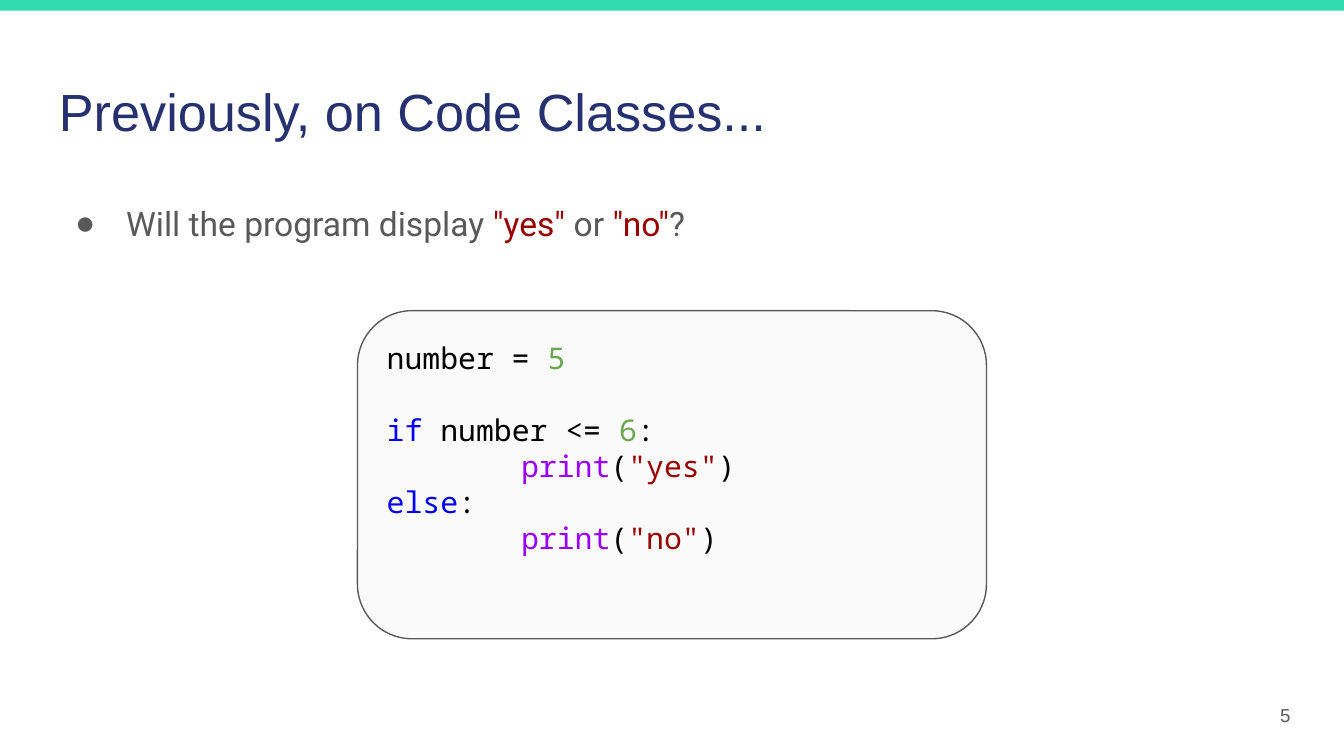
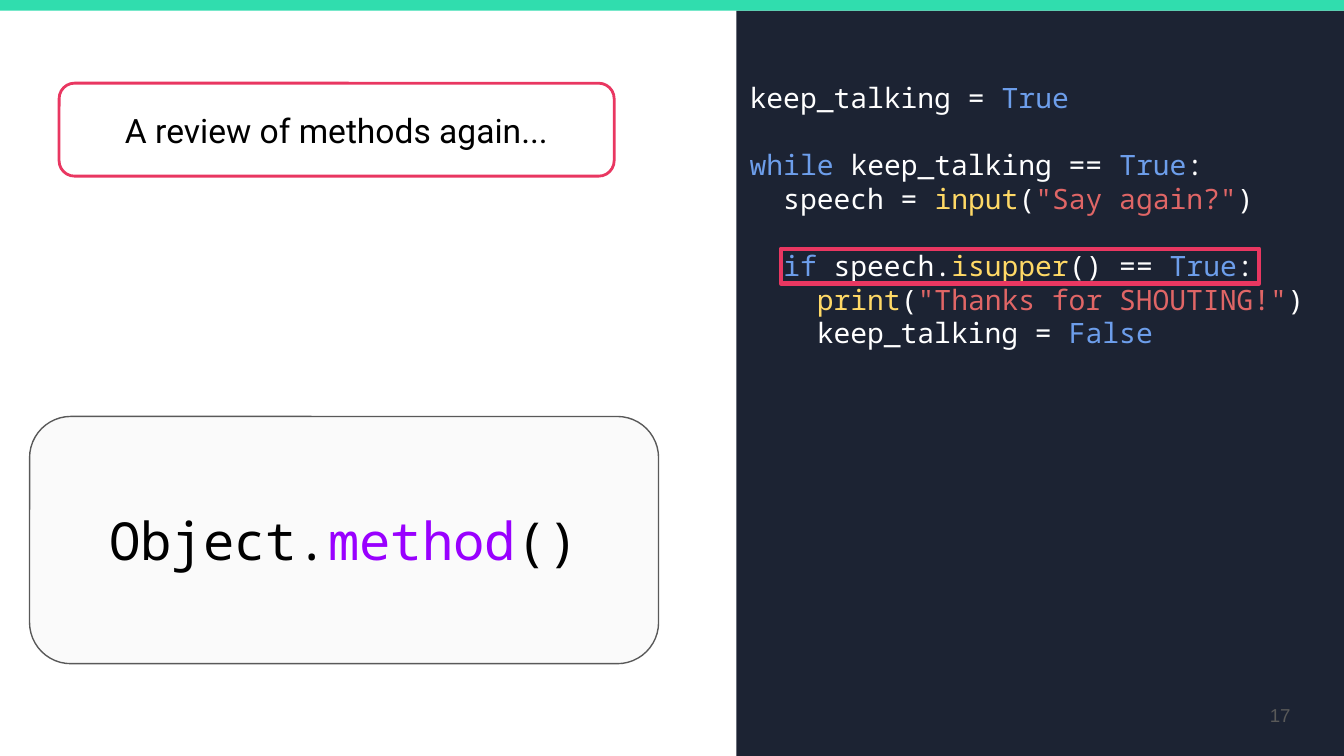
from dataclasses import dataclass

from lxml import etree
from pptx import Presentation
from pptx import util as u
from pptx.dml.color import RGBColor
from pptx.enum import shapes, text
from pptx.oxml import ns


@dataclass(frozen=True)
class Theme:
    white: str = "FFFFFF"
    black: str = "000000"
    navy: str = "25326F"
    grey: str = "595959"
    mint: str = "30DDAE"
    paper: str = "FAFAFA"
    night: str = "1C2333"
    pink: str = "E93761"
    green: str = "6AA84F"
    blue: str = "0000FF"
    purple: str = "9900FF"
    maroon: str = "980000"
    sky: str = "6D9EEB"
    yellow: str = "FFD966"
    coral: str = "E06666"
    sans: str = "Arial"
    body: str = "Roboto"
    mono: str = "Noto Sans Mono"
    title_size: int = 28
    body_size: int = 18
    code_size: int = 16
    panel_size: int = 15
    number_size: int = 10


theme = Theme()
RECT = shapes.MSO_SHAPE.RECTANGLE
ROUND = shapes.MSO_SHAPE.ROUNDED_RECTANGLE
LEFT, CENTER, RIGHT = text.PP_ALIGN.LEFT, text.PP_ALIGN.CENTER, text.PP_ALIGN.RIGHT
TOP, MIDDLE = text.MSO_ANCHOR.TOP, text.MSO_ANCHOR.MIDDLE

deck = Presentation()
deck.slide_width = u.Inches(10)
deck.slide_height = deck.slide_width * 9 // 16
column, row = deck.slide_width / 100, deck.slide_height / 100


def draw(page, kind, at, fill=None, line=None, weight=0.75):
    left, top, width, height = at
    place = [round(left * column), round(top * row), round(width * column), round(height * row)]
    if kind is None:
        return page.shapes.add_textbox(*place)
    box = page.shapes.add_shape(kind, *place)
    box.shadow.inherit = False
    if fill:
        box.fill.solid()
        box.fill.fore_color.rgb = RGBColor.from_string(fill)
    else:
        box.fill.background()
    if line:
        box.line.color.rgb = RGBColor.from_string(line)
        box.line.width = u.Pt(weight)
    else:
        box.line.fill.background()
    return box


def write(box, lines, font, size, align=LEFT, anchor=TOP):
    frame = box.text_frame
    frame.word_wrap = True
    frame.vertical_anchor = anchor
    frame.margin_left = frame.margin_right = u.Inches(0.1)
    frame.margin_top = frame.margin_bottom = u.Inches(0.1)
    para, gap = None, False
    for line in lines:
        if not line:
            gap = True
            continue
        para = frame.add_paragraph() if para else frame.paragraphs[0]
        para.alignment = align
        if gap:
            para.space_before = u.Pt(size * 1.2)
            gap = False
        if line[0][0] == "\t":
            tabs = etree.SubElement(para._p.get_or_add_pPr(), ns.qn("a:tabLst"))
            etree.SubElement(tabs, ns.qn("a:tab"), pos=str(u.Inches(1)), algn="l")
        for words, color in line:
            span = para.add_run()
            span.text = words
            span.font.name = font
            span.font.size = u.Pt(size)
            span.font.color.rgb = RGBColor.from_string(color)
    return frame


question_page, methods_page = [deck.slides.add_slide(deck.slide_layouts[6]) for _ in range(2)]
band = 1.42
panel_left = 54.8

draw(methods_page, RECT, (panel_left, band, 45.3, 100 - band), theme.night)
for page, number in ((question_page, "5"), (methods_page, "17")):
    draw(page, RECT, (-0.1, 0, 100.2, band), theme.mint)
    write(draw(page, None, (91, 90.7, 6, 7.65)), [[(number, theme.grey)]],
          theme.sans, theme.number_size, RIGHT, MIDDLE)

title = draw(question_page, None, (3.4, 8.7, 93.2, 11.2))
write(title, [[("Previously, on Code Classes...", theme.navy)]], theme.sans, theme.title_size)

question = draw(question_page, None, (3.4, 22.4, 68.7, 9.95))
frame = write(question, [[
    ("Will the program display ", theme.grey), ('"yes"', theme.maroon),
    (" or ", theme.grey), ('"no"', theme.maroon), ("?", theme.grey),
]], theme.body, theme.body_size)
para = frame.paragraphs[0]
para.line_spacing = 1.5
bullet = para._p.get_or_add_pPr()
bullet.set("marL", str(u.Inches(0.5)))
bullet.set("indent", str(-u.Inches(0.38)))
bullet_color = etree.SubElement(bullet, ns.qn("a:buClr"))
etree.SubElement(bullet_color, ns.qn("a:srgbClr"), val=theme.grey)
etree.SubElement(bullet, ns.qn("a:buFont"), typeface=theme.sans)
etree.SubElement(bullet, ns.qn("a:buChar"), char="●")

program = draw(question_page, ROUND, (26.6, 41.1, 46.8, 43.4), theme.paper, theme.grey)
write(program, [
    [("number = ", theme.black), ("5", theme.green)],
    [],
    [("if", theme.blue), (" number <= ", theme.black), ("6", theme.green), (":", theme.black)],
    [("\t", theme.black), ("print", theme.purple), ("(", theme.black),
     ('"yes"', theme.maroon), (")", theme.black)],
    [("else", theme.blue), (":", theme.black)],
    [("\t", theme.black), ("print", theme.purple), ("(", theme.black),
     ('"no"', theme.maroon), (")", theme.black)],
], theme.mono, theme.code_size)

listing = draw(methods_page, None, (panel_left, 8.9, 45.3, 81.8))
write(listing, [
    [("keep_talking = ", theme.white), ("True", theme.sky)],
    [],
    [("while", theme.sky), (" keep_talking == ", theme.white), ("True", theme.sky),
     (":", theme.white)],
    [("  speech = ", theme.white), ("input", theme.yellow), ("(", theme.white),
     ('"Say again?"', theme.coral), (")", theme.white)],
    [],
    [("  ", theme.white), ("if", theme.sky), (" speech.", theme.white),
     ("isupper", theme.yellow), ("() == ", theme.white), ("True", theme.sky),
     (":", theme.white)],
    [("    ", theme.white), ("print", theme.yellow), ("(", theme.white),
     ('"Thanks for SHOUTING!"', theme.coral), (")", theme.white)],
    [("    keep_talking = ", theme.white), ("False", theme.sky)],
], theme.mono, theme.panel_size)
draw(methods_page, RECT, (58.1, 32.9, 35.6, 4.6), line=theme.pink, weight=2.25)

pattern = draw(methods_page, ROUND, (2.2, 55.1, 46.8, 32.7), theme.paper, theme.grey)
write(pattern, [[("Object.", theme.black), ("method", theme.purple), ("()", theme.black)]],
      theme.mono, theme.title_size, CENTER, MIDDLE)

review = draw(methods_page, ROUND, (4.4, 11, 41.3, 12.3), theme.white, theme.pink, 1.5)
write(review, [[("A review of methods again...", theme.black)]],
      theme.body, theme.body_size, CENTER, MIDDLE)

deck.save("out.pptx")
